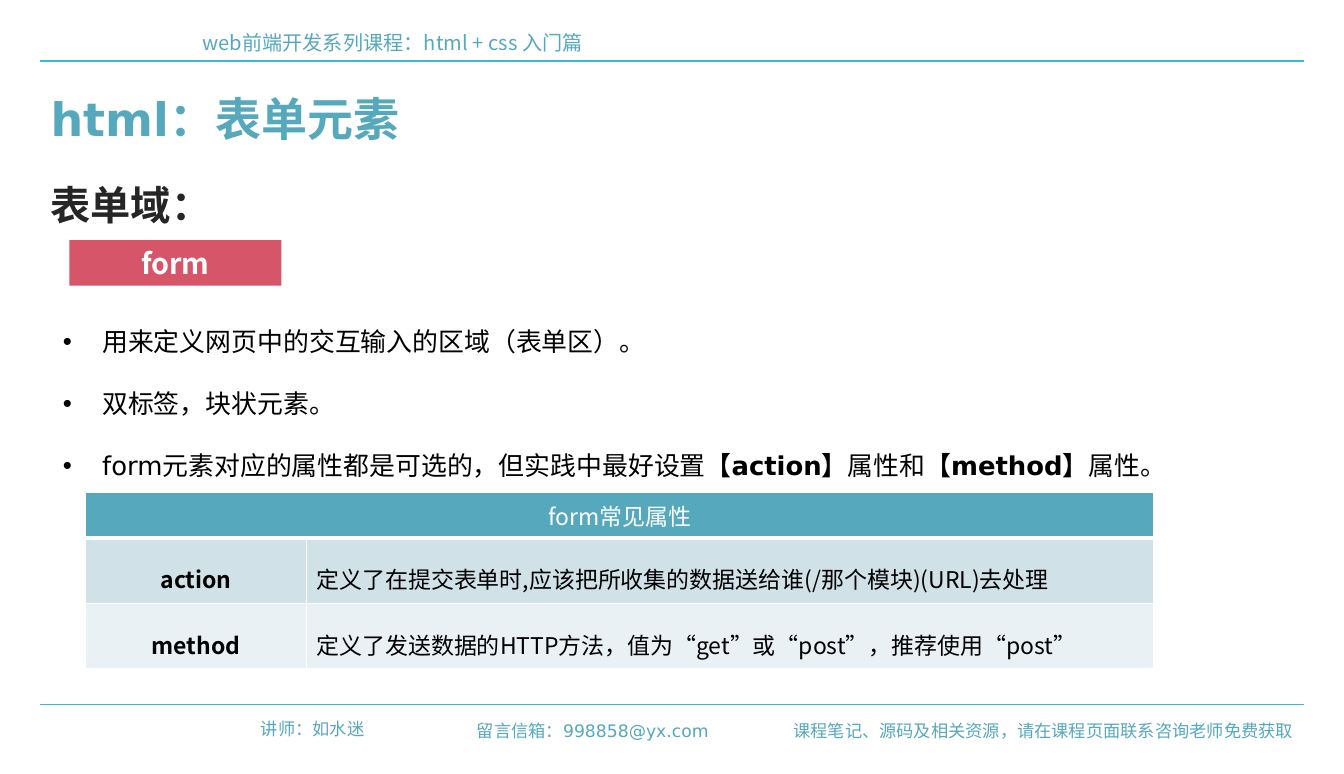
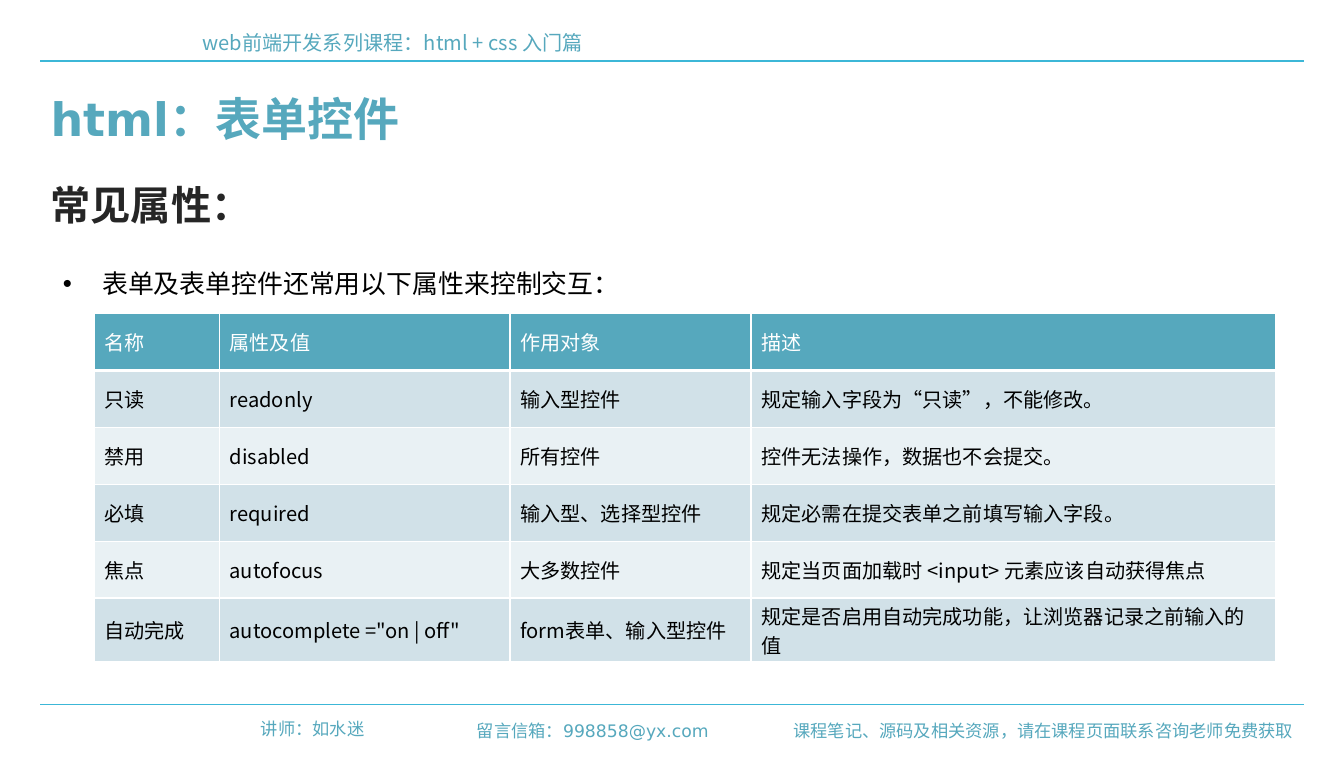
import pptx
import pptx.dml.color
import pptx.enum.lang
import pptx.enum.shapes
import pptx.enum.text
import pptx.oxml
import pptx.oxml.ns
import pptx.util
from pptx.util import Inches

TEAL, RULE, RED = "56A8BD", "3CB7D7", "D75569"
INK, BLACK, WHITE = "262626", "000000", "FFFFFF"
BANDS = ("D1E1E8", "E9F1F4")
SANS, CJK = "DejaVu Sans", "Noto Sans CJK SC"
ALIGN = pptx.enum.text.PP_ALIGN
MIDDLE = pptx.enum.text.MSO_ANCHOR.MIDDLE
LEFT_EDGE, RIGHT_EDGE = 0.39, 12.6


def color(hex_value):
    return pptx.dml.color.RGBColor.from_string(hex_value)


def child(parent, tag, **attributes):
    element = pptx.oxml.parse_xml(f"<{tag} {pptx.oxml.ns.nsdecls('a')}/>")
    for key, value in attributes.items():
        element.set(key, str(value))
    parent.append(element)
    return element


def add_run(paragraph, text, size, font, hex_value, bold=False):
    run = paragraph.add_run()
    run.text = text
    run.font.size = pptx.util.Pt(size)
    run.font.name = font
    run.font.bold = bold
    run.font.color.rgb = color(hex_value)
    run.font.language_id = pptx.enum.lang.MSO_LANGUAGE_ID.SIMPLIFIED_CHINESE
    child(run.font._element, "a:ea", typeface=font)


def add_frame(slide, left, top, width, height):
    box = slide.shapes.add_textbox(Inches(left), Inches(top), Inches(width), Inches(height))
    box.text_frame.word_wrap = True
    return box.text_frame


def add_label(slide, bounds, text, size, font, hex_value, bold=False, align=ALIGN.LEFT):
    paragraph = add_frame(slide, *bounds).paragraphs[0]
    paragraph.alignment = align
    add_run(paragraph, text, size, font, hex_value, bold)


def add_rule(slide, y):
    rule = slide.shapes.add_connector(
        pptx.enum.shapes.MSO_CONNECTOR.STRAIGHT,
        Inches(LEFT_EDGE), Inches(y), Inches(RIGHT_EDGE), Inches(y))
    rule.line.color.rgb = color(RULE)
    rule.line.width = pptx.util.Pt(0.75)
    child(rule._element.spPr, "a:effectLst")


def add_course_slide(deck, title, subtitle):
    """Add a slide with the course header, footer and headings."""
    slide = deck.slides.add_slide(deck.slide_layouts[6])
    for y in (0.59, 6.81):
        add_rule(slide, y)
    add_label(slide, (1.86, 0.24, 10.51, 0.34),
              "web前端开发系列课程：html + css 入门篇", 14, CJK, TEAL)
    footers = (
        ((2.24, 6.89, 1.38, 0.3), "讲师：如水迷"),
        ((4.29, 6.91, 2.66, 0.3), "留言信箱：998858@yx.com"),
        ((7.52, 6.91, 5.08, 0.3), "课程笔记、源码及相关资源，请在课程页面联系咨询老师免费获取"),
    )
    for bounds, text in footers:
        add_label(slide, bounds, text, 12, SANS, TEAL, align=ALIGN.RIGHT)
    add_label(slide, (LEFT_EDGE, 1.69, 6.65, 0.57), subtitle, 28, CJK, INK, True)
    add_label(slide, (LEFT_EDGE, 0.83, 12.2, 0.64), title, 32, SANS, TEAL, True)
    return slide


def add_bullets(slide, bounds, items):
    """Each item is a list of text pieces; every second piece is bold."""
    frame = add_frame(slide, *bounds)
    for index, pieces in enumerate(items):
        paragraph = frame.add_paragraph() if index else frame.paragraphs[0]
        properties = paragraph._p.get_or_add_pPr()
        properties.set("marL", str(Inches(0.38)))
        properties.set("indent", str(Inches(-0.38)))
        child(properties, "a:buFont", typeface="Arial")
        child(properties, "a:buChar", char="•")
        paragraph.line_spacing = 2.0
        for position, piece in enumerate(pieces):
            add_run(paragraph, piece, 18, SANS, BLACK, position % 2 == 1)


def add_tag(slide, bounds, text):
    tag = slide.shapes.add_shape(pptx.enum.shapes.MSO_SHAPE.RECTANGLE,
                                 *(Inches(length) for length in bounds))
    tag.shadow.inherit = False
    tag.fill.solid()
    tag.fill.fore_color.rgb = color(RED)
    tag.line.fill.background()
    tag.text_frame.vertical_anchor = MIDDLE
    paragraph = tag.text_frame.paragraphs[0]
    paragraph.alignment = ALIGN.CENTER
    add_run(paragraph, text, 20, CJK, WHITE, True)


def style_cell(cell, row_index):
    """Set margins, white borders and fill; the header has a thick lower edge."""
    cell.vertical_anchor = MIDDLE
    cell.margin_top = cell.margin_bottom = Inches(0.03)
    properties = cell._tc.get_or_add_tcPr()
    widths = {"L": 1, "R": 1, "T": 3 if row_index == 1 else 1, "B": 3 if row_index == 0 else 1}
    for side, points in widths.items():
        border = child(properties, f"a:ln{side}", w=pptx.util.Pt(points))
        child(child(border, "a:solidFill"), "a:srgbClr", val=WHITE)
    cell.fill.solid()
    cell.fill.fore_color.rgb = color(BANDS[(row_index - 1) % 2] if row_index else TEAL)


def add_grid(slide, left, top, widths, heights, rows, size, bold_names=False, spacing=1.0):
    """A header row with one text spans all columns."""
    table = slide.shapes.add_table(
        len(rows), len(widths), Inches(left), Inches(top),
        Inches(sum(widths)), Inches(sum(heights))).table
    for column, width in zip(table.columns, widths):
        column.width = Inches(width)
    for row_index, (texts, height) in enumerate(zip(rows, heights)):
        table.rows[row_index].height = Inches(height)
        spanning = len(texts) < len(widths)
        for column_index in range(len(widths)):
            style_cell(table.cell(row_index, column_index), row_index)
        if spanning:
            table.cell(row_index, 0).merge(table.cell(row_index, len(widths) - 1))
        for column_index, text in enumerate(texts):
            paragraph = table.cell(row_index, column_index).text_frame.paragraphs[0]
            is_name = bold_names and row_index > 0 and column_index == 0
            if spanning or is_name:
                paragraph.alignment = ALIGN.CENTER
            if row_index:
                paragraph.line_spacing = spacing
            add_run(paragraph, text, size, CJK, BLACK if row_index else WHITE, is_name)


def add_form_slide(deck):
    slide = add_course_slide(deck, "html：表单元素", "表单域：")
    add_bullets(slide, (0.51, 2.8, 11.02, 1.92), [
        ["用来定义网页中的交互输入的区域（表单区）。"],
        ["双标签，块状元素。"],
        ["form元素对应的属性都是可选的，但实践中最好设置", "【action】", "属性和", "【method】", "属性。"],
    ])
    add_grid(slide, 0.83, 4.76, [2.13, 8.19], [0.44, 0.63, 0.63], [
        ["form常见属性"],
        ["action", "定义了在提交表单时,应该把所收集的数据送给谁(/那个模块)(URL)去处理"],
        ["method", "定义了发送数据的HTTP方法，值为“get”或“post”，推荐使用“post”"],
    ], 16, bold_names=True, spacing=1.5)
    add_tag(slide, (0.67, 2.32, 2.05, 0.44), "form")


def add_controls_slide(deck):
    slide = add_course_slide(deck, "html：表单控件", "常见属性：")
    add_grid(slide, 0.91, 3.03, [1.21, 2.81, 2.33, 5.07], [0.55] * 5 + [0.61], [
        ["名称", "属性及值", "作用对象", "描述"],
        ["只读", "readonly", "输入型控件", "规定输入字段为“只读”，不能修改。"],
        ["禁用", "disabled", "所有控件", "控件无法操作，数据也不会提交。"],
        ["必填", "required", "输入型、选择型控件", "规定必需在提交表单之前填写输入字段。"],
        ["焦点", "autofocus", "大多数控件", "规定当页面加载时 <input> 元素应该自动获得焦点"],
        ["自动完成", 'autocomplete ="on | off"', "form表单、输入型控件",
         "规定是否启用自动完成功能，让浏览器记录之前输入的值"],
    ], 14)
    add_bullets(slide, (0.51, 2.24, 11.5, 0.61), [["表单及表单控件还常用以下属性来控制交互："]])


def main():
    deck = pptx.Presentation()
    deck.slide_width, deck.slide_height = Inches(12.99), Inches(7.48)
    add_form_slide(deck)
    add_controls_slide(deck)
    deck.save("out.pptx")


if __name__ == "__main__":
    main()
